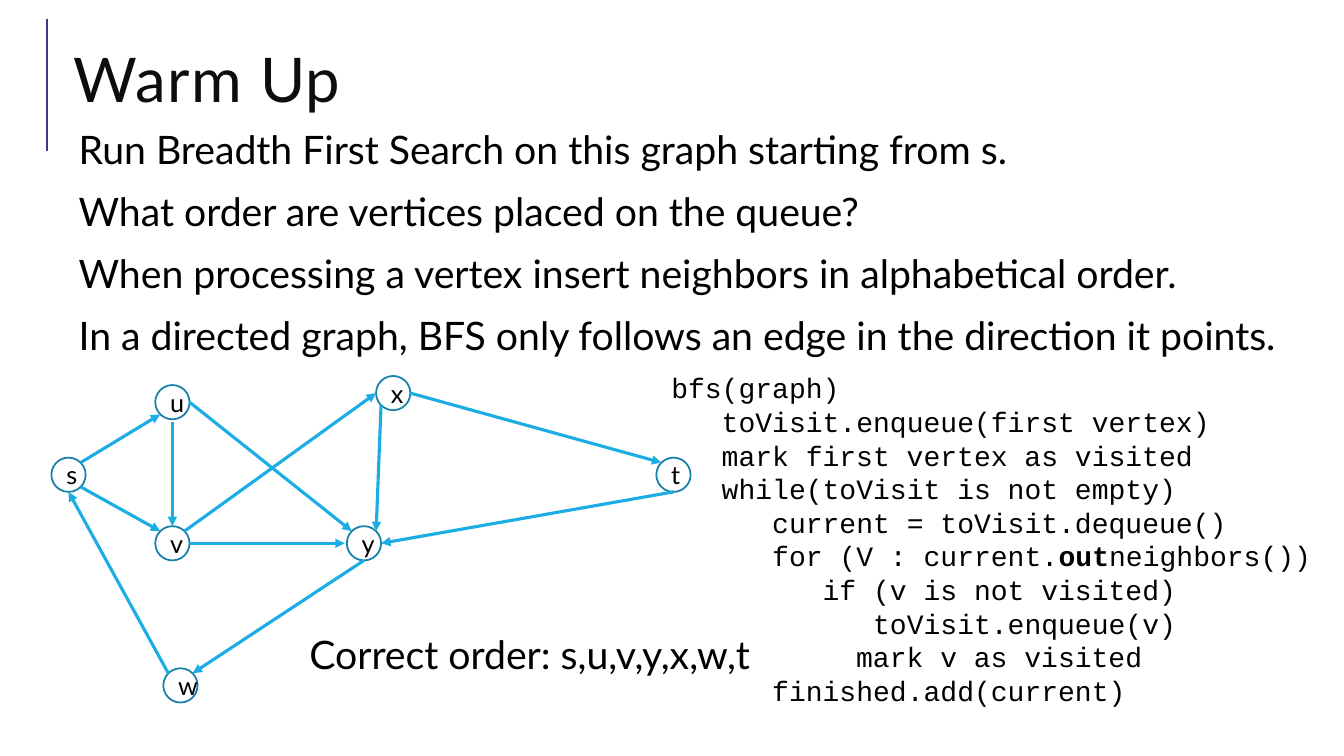
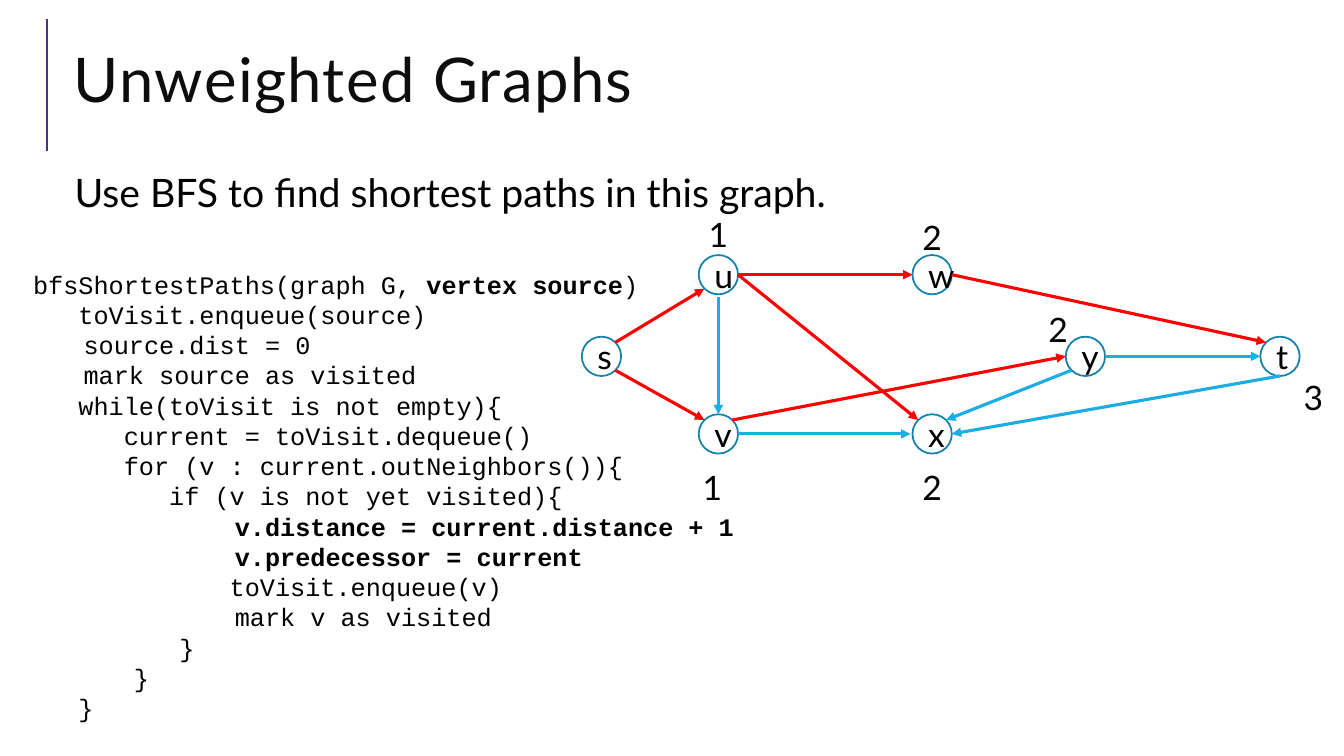
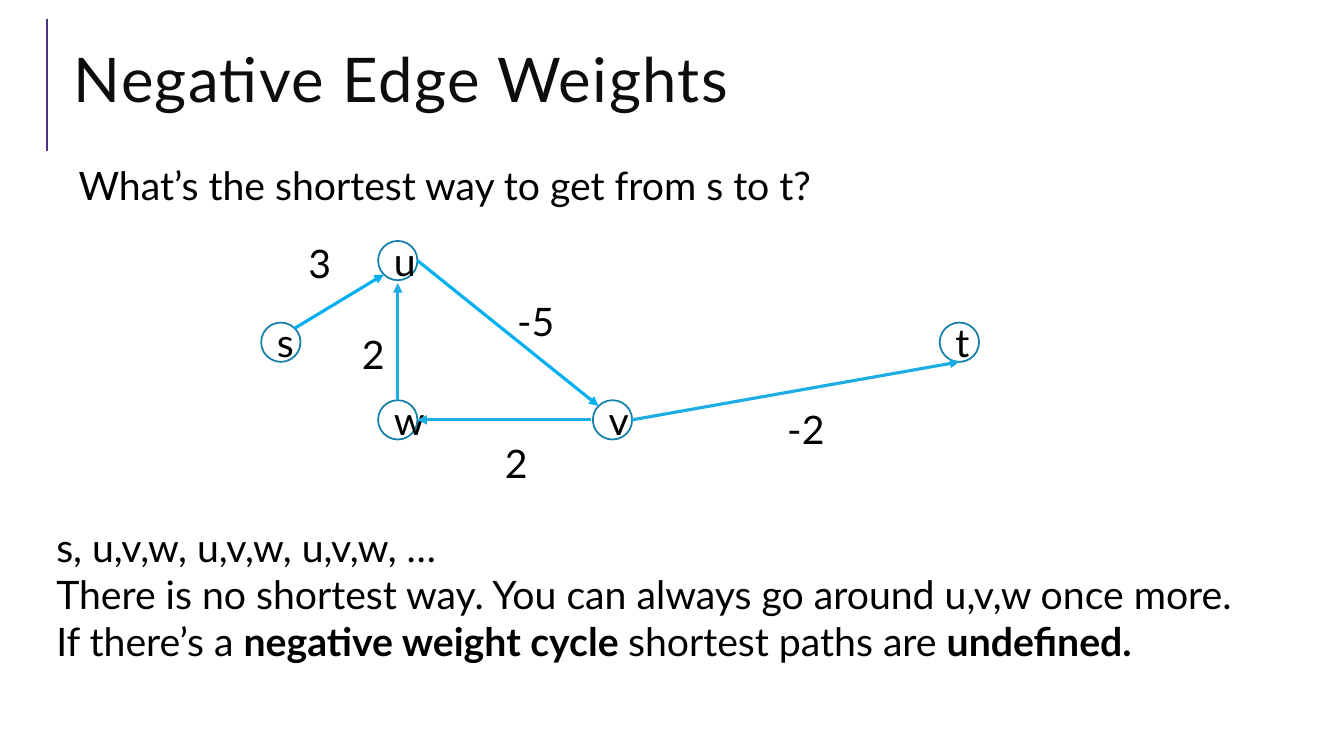
"""Builds three slides on breadth first search and shortest paths."""
from lxml import etree
from pptx import Presentation
from pptx import util as u
from pptx.dml.color import RGBColor
from pptx.enum import shapes, text
from pptx.oxml.ns import qn

SANS, MONO = "Lato", "Courier New"
BLACK, TITLE_INK, PURPLE = "000000", "0D0D0D", "4C3282"
BLUE, SKY, RED, RIM = "1CADE4", "00B0F0", "FF0000", "1580A9"
SITES = {"N": (0, -1), "S": (0, 1), "W": (-1, 0), "E": (1, 0),
         "NW": (-.71, -.71), "NE": (.71, -.71),
         "SW": (-.71, .71), "SE": (.71, .71)}


def px(length):
    return u.Emu(round(length * 9144))


def color(value):
    return RGBColor.from_string(value)


def put(frame, lines, size=28, font=SANS, ink=BLACK, align=None, leading=None,
        before=0, after=0, indent=0, tab=0, spacing=0):
    """Write lines into a frame; double asterisks switch bold on and off."""
    frame.word_wrap = True
    for number, line in enumerate(lines):
        paragraph = frame.add_paragraph() if number else frame.paragraphs[0]
        props = paragraph._p.get_or_add_pPr()
        if indent:
            props.set("marL", str(px(indent)))
            props.set("indent", "0")
            etree.SubElement(props, qn("a:buNone"))
        if tab:
            stops = etree.SubElement(props, qn("a:tabLst"))
            for stop in range(1, 6):
                etree.SubElement(stops, qn("a:tab"), pos=str(px(stop * tab)), algn="l")
        if align is not None:
            paragraph.alignment = align
        if leading:
            paragraph.line_spacing = leading
        paragraph.space_before = u.Pt(before if number else 0)
        paragraph.space_after = u.Pt(after)
        for part, words in enumerate(line.split("**")):
            if not words:
                continue
            run = paragraph.add_run()
            run.text = words
            run.font.name, run.font.size = font, u.Pt(size)
            run.font.bold = part % 2 == 1
            run.font.color.rgb = color(ink)
            if spacing:
                run._r.get_or_add_rPr().set("spc", str(spacing))


class Deck:
    """Holds the style and the current slide."""

    def __init__(self):
        self.show = Presentation()
        self.show.slide_width, self.show.slide_height = px(1333), px(750)

    def start(self, title, body, left, top, height):
        self.slide = self.show.slides.add_slide(self.show.slide_layouts[1])
        self.vertices = {}
        self.line((47, 150), (47, 19), PURPLE, 1.5)
        heading, question = self.slide.placeholders
        self.place(heading, 63, 29, 1223, 111)
        heading.text_frame.vertical_anchor = text.MSO_ANCHOR.MIDDLE
        put(heading.text_frame, [title], size=44, ink=TITLE_INK, leading=.8,
            align=text.PP_ALIGN.LEFT, spacing=100)
        self.place(question, left, top, 1223, height)
        frame = question.text_frame
        frame.margin_left = frame.margin_right = px(5)
        frame.margin_top = frame.margin_bottom = px(5)
        put(frame, body, leading=.9, before=12, after=2, indent=10)

    def place(self, holder, left, top, width, height):
        holder.left, holder.top = px(left), px(top)
        holder.width, holder.height = px(width), px(height)
        holder.text_frame.auto_size = text.MSO_AUTO_SIZE.NONE

    def line(self, start, end, ink, weight):
        line = self.slide.shapes.add_connector(
            shapes.MSO_CONNECTOR.STRAIGHT, *map(px, (*start, *end)))
        line.line.color.rgb, line.line.width = color(ink), u.Pt(weight)
        etree.SubElement(line._element.spPr, qn("a:effectLst"))
        return line

    def graph(self, diameter, size, **corners):
        self.radius = diameter / 2
        for name, (left, top) in corners.items():
            circle = self.slide.shapes.add_shape(
                shapes.MSO_SHAPE.OVAL, px(left), px(top), px(diameter), px(diameter))
            circle.shadow.inherit = False
            circle.fill.background()
            circle.line.color.rgb, circle.line.width = color(RIM), u.Pt(1.25)
            put(circle.text_frame, [name], size=size)
            self.vertices[name] = left + self.radius, top + self.radius

    def site(self, vertex, side, gap=0):
        return [middle + step * (self.radius + gap)
                for middle, step in zip(self.vertices[vertex], SITES[side])]

    def edges(self, ink, *pairs):
        for start, end in pairs:
            edge = self.line(self.site(*start), self.site(*end), ink, 2.25)
            etree.SubElement(edge.line._get_or_add_ln(), qn("a:tailEnd"), type="triangle")

    def note(self, left, top, width, height, *lines, **style):
        box = self.slide.shapes.add_textbox(*map(px, (left, top, width, height)))
        put(box.text_frame, lines, **style)

    def labels(self, size, *labels):
        for label, left, top in labels:
            self.note(left, top, 60 if len(label) > 1 else 39, 50, label, size=size)


def warm_up(deck):
    deck.start("Warm Up", [
        "Run Breadth First Search on this graph starting from s.",
        "What order are vertices placed on the queue?",
        "When processing a vertex insert neighbors in alphabetical order.",
        "In a directed graph, BFS only follows an edge in the direction it points.",
    ], 63, 125, 196)
    deck.graph(34, 18, s=(51, 454), t=(651, 454), v=(154, 522), u=(154, 382),
               x=(373, 373), w=(162, 663), y=(344, 522))
    deck.edges(BLUE,
               (("s", "NE"), ("u", "SW")), (("u", "S", 3), ("v", "N")),
               (("s", "SE"), ("v", "NW")), (("u", "E"), ("y", "NW")),
               (("v", "E"), ("y", "W", 2)), (("v", "NE"), ("x", "W")),
               (("w", "NW"), ("s", "S")), (("y", "S"), ("w", "NE")),
               (("x", "E"), ("t", "NW")), (("x", "SW"), ("y", "NE")),
               (("t", "S"), ("y", "E")))
    deck.note(656, 363, 660, 380,
              "bfs(graph)",
              "   toVisit.enqueue(first vertex)",
              "\tmark first vertex as visited",
              "   while(toVisit is not empty)",
              "      current = toVisit.dequeue()",
              "      for (V : current.**out**neighbors())",
              "         if (v is not visited)",
              "            toVisit.enqueue(v)",
              "\t\t\t  mark v as visited",
              "      finished.add(current)",
              size=20, font=MONO, tab=50)
    deck.note(297, 620, 484, 57, "Correct order: s,u,v,y,x,w,t")


def unweighted_graphs(deck):
    deck.start("Unweighted Graphs", ["Use BFS to find shortest paths in this graph."],
               59, 167, 61)
    deck.graph(39, 24, s=(577, 334), t=(1250, 334), v=(693, 411), u=(693, 253),
               y=(1057, 334), w=(905, 253), x=(905, 411))
    deck.edges(RED,
               (("s", "NE"), ("u", "SW")), (("s", "SE"), ("v", "NW")),
               (("u", "E"), ("x", "NW")), (("v", "NE"), ("y", "W")),
               (("u", "E"), ("w", "W")), (("w", "E"), ("t", "NW")))
    deck.edges(BLUE,
               (("u", "S", 3), ("v", "N")), (("v", "E"), ("x", "W", 2)),
               (("y", "E"), ("t", "W")), (("y", "SW"), ("x", "NE")),
               (("t", "S"), ("x", "E")))
    deck.labels(24, ("1", 693, 207), ("1", 687, 458), ("2", 905, 210),
                ("2", 905, 458), ("2", 1030, 302), ("3", 1283, 369))
    deck.note(23, 262, 819, 480,
              "bfsShortestPaths(graph G, **vertex source**)",
              "   toVisit.enqueue(source)",
              "\tsource.dist = 0",
              "\tmark source as visited",
              "   while(toVisit is not empty){",
              "      current = toVisit.dequeue()",
              "      for (v : current.outNeighbors()){",
              "         if (v is not yet visited){",
              "**\t\t\t\tv.distance = current.distance + 1**",
              "**\t\t\t\tv.predecessor = current**",
              "             toVisit.enqueue(v)",
              "\t\t\t\tmark v as visited",
              "\t\t   }",
              "\t\t}",
              "   }",
              size=18, font=MONO, tab=50)


def negative_edge_weights(deck):
    deck.start("Negative Edge Weights", ["What’s the shortest way to get from s to t?"],
               63, 160, 73)
    deck.graph(39, 28, s=(259, 320), t=(932, 320), w=(375, 397), u=(375, 239),
               v=(588, 397))
    deck.edges(SKY, (("s", "NE"), ("u", "SW")), (("u", "E"), ("v", "NW")))
    deck.edges(BLUE, (("w", "N"), ("u", "S", 3)), (("v", "W", 2), ("w", "E")),
               (("v", "E"), ("t", "S")))
    deck.labels(28, ("3", 296, 233), ("2", 349, 323), ("-5", 503, 290),
                ("2", 491, 431), ("-2", 771, 397))
    deck.note(46, 514, 1278, 151,
              "s, u,v,w, u,v,w, u,v,w, …",
              "There is no shortest way. You can always go around u,v,w once more.",
              "If there’s a **negative weight cycle **shortest paths are **undefined.**")


def main():
    deck = Deck()
    warm_up(deck)
    unweighted_graphs(deck)
    negative_edge_weights(deck)
    deck.show.save("out.pptx")


if __name__ == "__main__":
    main()
